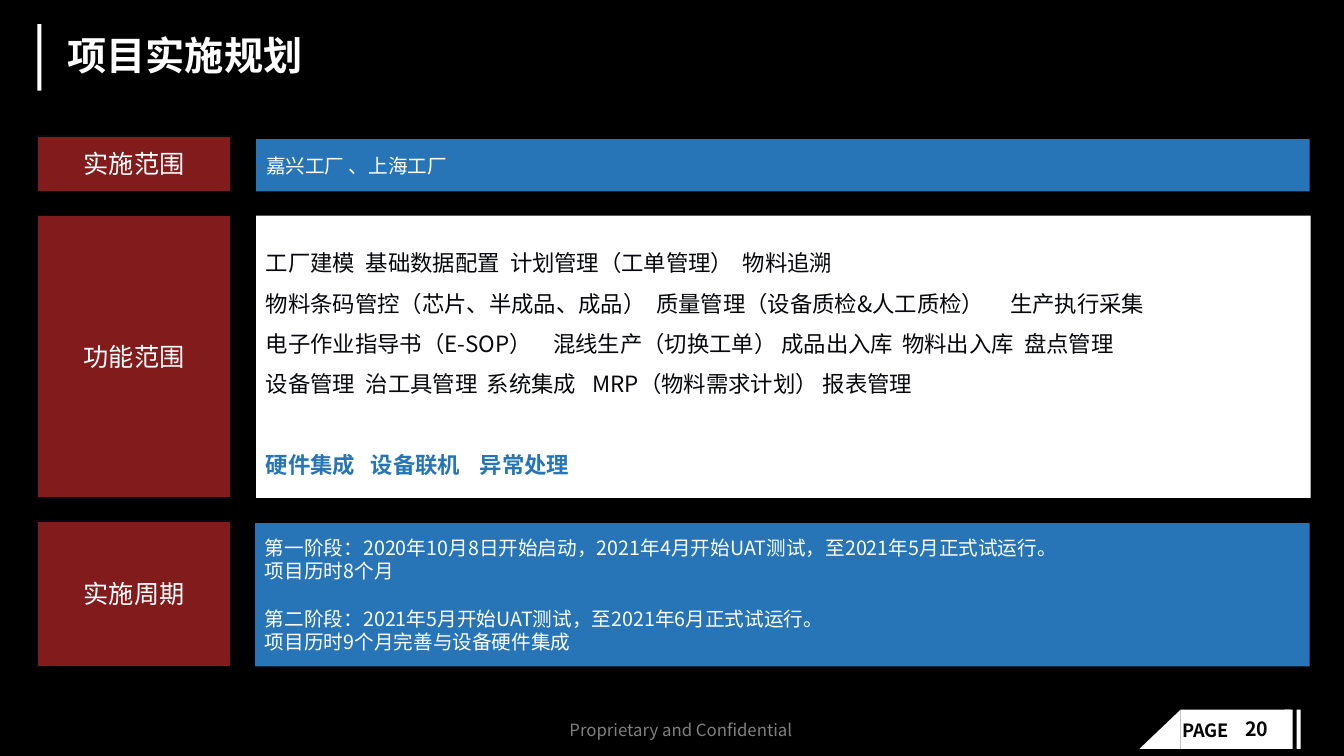
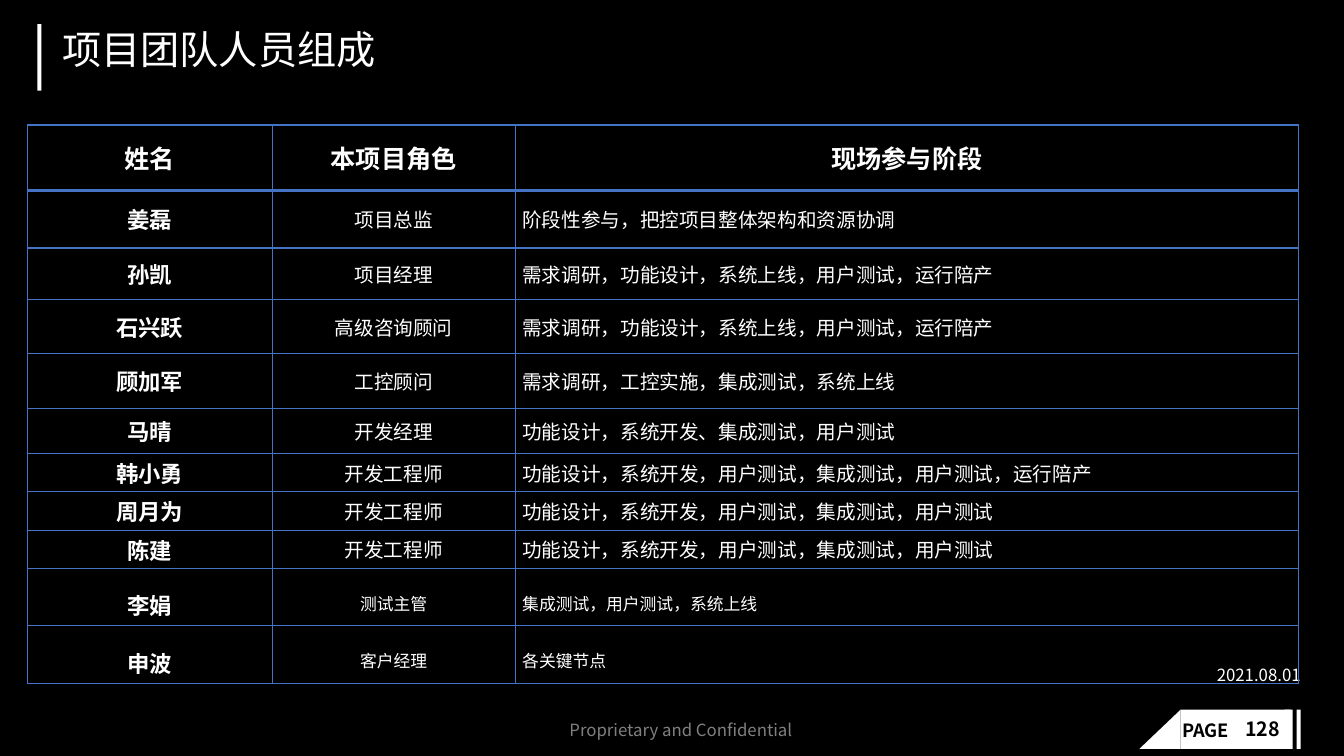
"""Build two project planning slides: implementation scope and team members."""

from dataclasses import dataclass
from typing import Optional, Sequence

from lxml.etree import SubElement
from pptx import Presentation
from pptx.dml.color import RGBColor
from pptx.enum.shapes import MSO_SHAPE
from pptx.enum.text import MSO_ANCHOR, PP_ALIGN
from pptx.oxml import parse_xml
from pptx.oxml.ns import nsdecls, qn
from pptx.shapes.autoshape import Shape
from pptx.slide import Slide
from pptx.table import _Cell
from pptx.text.text import TextFrame, _Paragraph
from pptx.util import Inches, Pt

FONT = "Noto Sans CJK SC"
BLACK = RGBColor(0x00, 0x00, 0x00)
INK = RGBColor(0x07, 0x08, 0x0B)
WHITE = RGBColor(0xFF, 0xFF, 0xFF)
GREY = RGBColor(0x80, 0x80, 0x80)
RED = RGBColor(0xDE, 0x30, 0x31)
BLUE = RGBColor(0x27, 0x75, 0xB6)
GRID_BLUE = RGBColor(0x44, 0x72, 0xC4)

Box = tuple[float, float, float, float]
Margins = tuple[float, float, float, float]


@dataclass(frozen=True)
class Line:
    text: str
    tabs: tuple[float, ...] = ()
    space_before: float = 0
    color: Optional[RGBColor] = None
    bold: Optional[bool] = None


@dataclass(frozen=True)
class Section:
    label: str
    label_box: Box
    body_box: Box
    lines: tuple[Line, ...]
    fill: RGBColor = BLUE
    color: RGBColor = WHITE
    size: float = 14
    spacing: Optional[float] = None


@dataclass(frozen=True)
class Member:
    name: str
    role: str
    stages: str
    height: float
    size: float = 14
    spacing: Optional[float] = None


SECTIONS = (
    Section("实施范围", (0.37, 1.35, 1.92, 0.55), (2.54, 1.38, 10.45, 0.52),
            (Line("嘉兴工厂 、上海工厂"),)),
    Section("功能范围", (0.37, 2.14, 1.92, 2.8), (2.54, 2.14, 10.46, 2.8), (
        Line("工厂建模\t基础数据配置\t计划管理（工单管理）\t物料追溯", (0.99, 2.42, 4.73)),
        Line("物料条码管控（芯片、半成品、成品）\t质量管理（设备质检&人工质检）\t生产执行采集",
             (3.87, 7.38)),
        Line("电子作业指导书（E-SOP）\t混线生产（切换工单） 成品出入库\t物料出入库\t盘点管理",
             (2.85, 6.31, 7.52)),
        Line("设备管理\t治工具管理\t系统集成\tMRP（物料需求计划） 报表管理", (0.99, 2.19, 3.24)),
        Line("硬件集成\t设备联机\t异常处理", (1.04, 2.12), 28.8, BLUE, True),
    ), WHITE, INK, 16, 1.5),
    Section("实施周期", (0.37, 5.17, 1.92, 1.44), (2.53, 5.19, 10.46, 1.42), (
        Line("第一阶段：2020年10月8日开始启动，2021年4月开始UAT测试，至2021年5月正式试运行。"),
        Line("项目历时8个月"),
        Line("第二阶段：2021年5月开始UAT测试，至2021年6月正式试运行。", space_before=17),
        Line("项目历时9个月完善与设备硬件集成"),
    )),
)

HEADERS = ("姓名", "本项目角色", "现场参与阶段")
HEADER_HEIGHT = 0.65
COLUMN_WIDTHS = (2.43, 2.41, 7.77)
ON_SITE = "需求调研，功能设计，系统上线，用户测试，运行陪产"
DEVELOPMENT = "功能设计，系统开发，用户测试，集成测试，用户测试"
MEMBERS = (
    Member("姜磊", "项目总监", "阶段性参与，把控项目整体架构和资源协调", 0.57),
    Member("孙凯", "项目经理", ON_SITE, 0.51),
    Member("石兴跃", "高级咨询顾问", ON_SITE, 0.54),
    Member("顾加军", "工控顾问", "需求调研，工控实施，集成测试，系统上线", 0.54),
    Member("马晴", "开发经理", "功能设计，系统开发、集成测试，用户测试", 0.45),
    Member("韩小勇", "开发工程师", f"{DEVELOPMENT}，运行陪产", 0.38),
    Member("周月为", "开发工程师", DEVELOPMENT, 0.38),
    Member("陈建", "开发工程师", DEVELOPMENT, 0.38),
    Member("李娟", "测试主管", "集成测试，用户测试，系统上线", 0.57, 12, 1.5),
    Member("申波", "客户经理", "各关键节点", 0.57, 12, 1.5),
)


def add_tabs(paragraph: _Paragraph, positions: Sequence[float]) -> None:
    """Add left tab stops to a paragraph."""
    tab_list = SubElement(paragraph._p.get_or_add_pPr(), qn("a:tabLst"))
    for position in positions:
        SubElement(tab_list, qn("a:tab"), pos=str(Inches(position)), algn="l")


def write_text(frame: TextFrame, lines: Sequence[Line], *, size: float,
               color: RGBColor = WHITE, bold: bool = False,
               align: PP_ALIGN = PP_ALIGN.LEFT, spacing: Optional[float] = None,
               space_after: float = 0) -> None:
    """Write formatted lines into a text frame."""
    for index, line in enumerate(lines):
        paragraph = frame.add_paragraph() if index else frame.paragraphs[0]
        paragraph.alignment = align
        if spacing:
            paragraph.line_spacing = spacing
        if line.space_before:
            paragraph.space_before = Pt(line.space_before)
        if space_after:
            paragraph.space_after = Pt(space_after)
        if line.tabs:
            add_tabs(paragraph, line.tabs)
        run = paragraph.add_run()
        run.text = line.text
        font = run.font
        font.name = FONT
        font.size = Pt(size)
        font.bold = bold if line.bold is None else line.bold
        font.color.rgb = line.color or color
        SubElement(run._r.get_or_add_rPr(), qn("a:ea"), typeface=FONT)


def add_text(slide: Slide, box: Box, text: str, *, size: float,
             color: RGBColor = WHITE, bold: bool = False,
             spacing: Optional[float] = None,
             anchor: MSO_ANCHOR = MSO_ANCHOR.TOP,
             margins: Margins = (0.1, 0.05, 0.1, 0.05)) -> None:
    """Add a one-line text box."""
    frame = slide.shapes.add_textbox(*map(Inches, box)).text_frame
    frame.word_wrap = True
    frame.vertical_anchor = anchor
    (frame.margin_left, frame.margin_top,
     frame.margin_right, frame.margin_bottom) = map(Inches, margins)
    write_text(frame, [Line(text)], size=size, color=color, bold=bold, spacing=spacing)


def add_block(slide: Slide, box: Box, fill: RGBColor,
              preset: MSO_SHAPE = MSO_SHAPE.RECTANGLE) -> Shape:
    """Add a filled shape without outline or shadow."""
    shape = slide.shapes.add_shape(preset, *map(Inches, box))
    shape.shadow.inherit = False
    shape.fill.solid()
    shape.fill.fore_color.rgb = fill
    shape.line.fill.background()
    shape.text_frame.word_wrap = True
    shape.text_frame.vertical_anchor = MSO_ANCHOR.MIDDLE
    return shape


def add_base_slide(presentation: Presentation, page: int) -> Slide:
    """Add a black slide with the title bar, footer and page tag."""
    slide = presentation.slides.add_slide(presentation.slide_layouts[6])
    slide.background.fill.solid()
    slide.background.fill.fore_color.rgb = BLACK
    add_block(slide, (11.71, 7.04, 1.09, 0.39), WHITE)
    corner = add_block(slide, (11.3, 7.04, 0.41, 0.39), WHITE, MSO_SHAPE.RIGHT_TRIANGLE)
    corner._element.spPr.xfrm.set("flipH", "1")
    add_block(slide, (12.74, 7.04, 0.08, 0.39), WHITE)
    add_block(slide, (12.86, 7.04, 0.04, 0.39), WHITE)
    add_text(slide, (11.63, 7.09, 0.73, 0.32), "PAGE", size=13, color=BLACK, bold=True)
    add_text(slide, (12.25, 7.09, 0.58, 0.32), str(page), size=14, color=BLACK,
             bold=True, spacing=0.9)
    add_text(slide, (5.55, 7.09, 2.56, 0.3), "Proprietary and Confidential",
             size=12, color=GREY)
    add_block(slide, (0.37, 0.24, 0.04, 0.66), WHITE)
    return slide


def add_section(slide: Slide, section: Section) -> None:
    """Add a red label block and its body block."""
    label = add_block(slide, section.label_box, RED)
    color = label._element.spPr.find(qn("a:solidFill")).find(qn("a:srgbClr"))
    SubElement(color, qn("a:alpha"), val="59000")
    label.line.color.rgb = INK
    label.line.width = Pt(1)
    write_text(label.text_frame, [Line(section.label)], size=18, align=PP_ALIGN.CENTER)
    body = add_block(slide, section.body_box, section.fill)
    write_text(body.text_frame, section.lines, size=section.size,
               color=section.color, spacing=section.spacing)


def set_borders(cell: _Cell, top: float, bottom: float) -> None:
    """Draw the four borders of a table cell with widths in points."""
    properties = cell._tc.get_or_add_tcPr()
    widths = {"lnL": 1, "lnR": 1, "lnT": top, "lnB": bottom}
    for index, (side, width) in enumerate(widths.items()):
        properties.insert(index, parse_xml(
            f'<a:{side} {nsdecls("a")} w="{Pt(width)}"><a:solidFill>'
            f'<a:srgbClr val="{GRID_BLUE}"/></a:solidFill></a:{side}>'))


def fill_cell(cell: _Cell, text: str, *, size: float, bold: bool,
              align: PP_ALIGN, spacing: Optional[float] = None) -> None:
    """Write a transparent table cell."""
    cell.fill.background()
    cell.vertical_anchor = MSO_ANCHOR.MIDDLE
    cell.margin_left = cell.margin_right = Inches(0.07)
    cell.margin_top = cell.margin_bottom = Inches(0)
    write_text(cell.text_frame, [Line(text)], size=size, bold=bold, align=align,
               spacing=spacing, space_after=6)


def add_team_table(slide: Slide) -> None:
    """Add the table of team members."""
    heights = [HEADER_HEIGHT, *(member.height for member in MEMBERS)]
    box = (0.27, 1.24, sum(COLUMN_WIDTHS), sum(heights))
    table = slide.shapes.add_table(len(heights), len(HEADERS), *map(Inches, box)).table
    table.first_row = table.horz_banding = False
    for column, width in zip(table.columns, COLUMN_WIDTHS):
        column.width = Inches(width)
    for row, height in zip(table.rows, heights):
        row.height = Inches(height)
    for index, header in enumerate(HEADERS):
        fill_cell(table.cell(0, index), header, size=18, bold=True, align=PP_ALIGN.CENTER)
        set_borders(table.cell(0, index), 1, 2)
    for number, member in enumerate(MEMBERS, start=1):
        name, role, stages = table.rows[number].cells
        fill_cell(name, member.name, size=16, bold=True, align=PP_ALIGN.CENTER,
                  spacing=member.spacing)
        fill_cell(role, member.role, size=member.size, bold=False,
                  align=PP_ALIGN.CENTER, spacing=member.spacing)
        fill_cell(stages, member.stages, size=member.size, bold=False,
                  align=PP_ALIGN.LEFT, spacing=member.spacing)
        for cell in (name, role, stages):
            set_borders(cell, 2 if number == 1 else 1, 1)


def main() -> None:
    """Build and save the presentation."""
    presentation = Presentation()
    presentation.slide_width = Inches(13.33)
    presentation.slide_height = Inches(7.5)

    plan = add_base_slide(presentation, 20)
    add_text(plan, (0.57, 0.2, 12.32, 0.7), "项目实施规划", size=28, bold=True,
             spacing=0.9, anchor=MSO_ANCHOR.MIDDLE, margins=(0.1, 0.05, 0.12, 0))
    for section in SECTIONS:
        add_section(plan, section)

    team = add_base_slide(presentation, 128)
    add_text(team, (0.52, 0.25, 12.32, 0.7), "项目团队人员组成", size=28, spacing=0.9)
    add_text(team, (11.97, 6.49, 1.18, 0.34), "2021.08.01", size=12, spacing=1.3)
    add_team_table(team)

    presentation.save("out.pptx")


if __name__ == "__main__":
    main()
